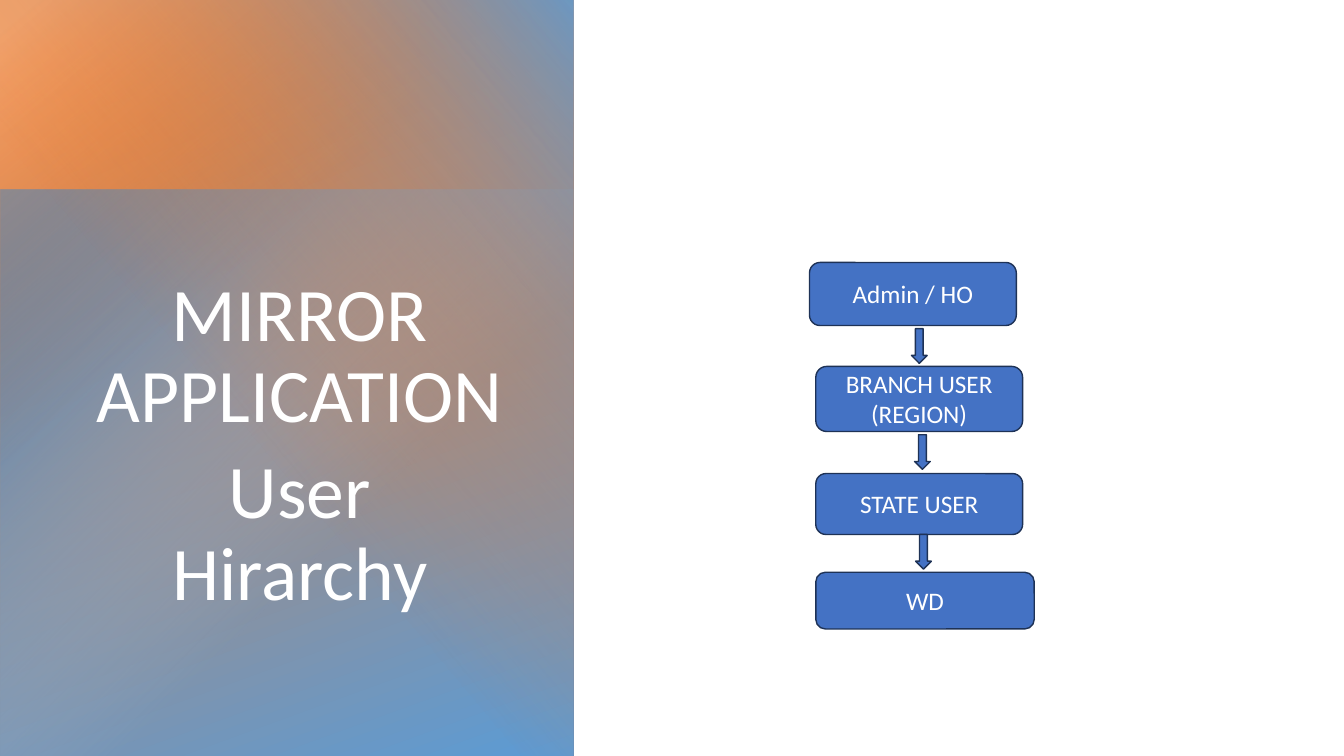
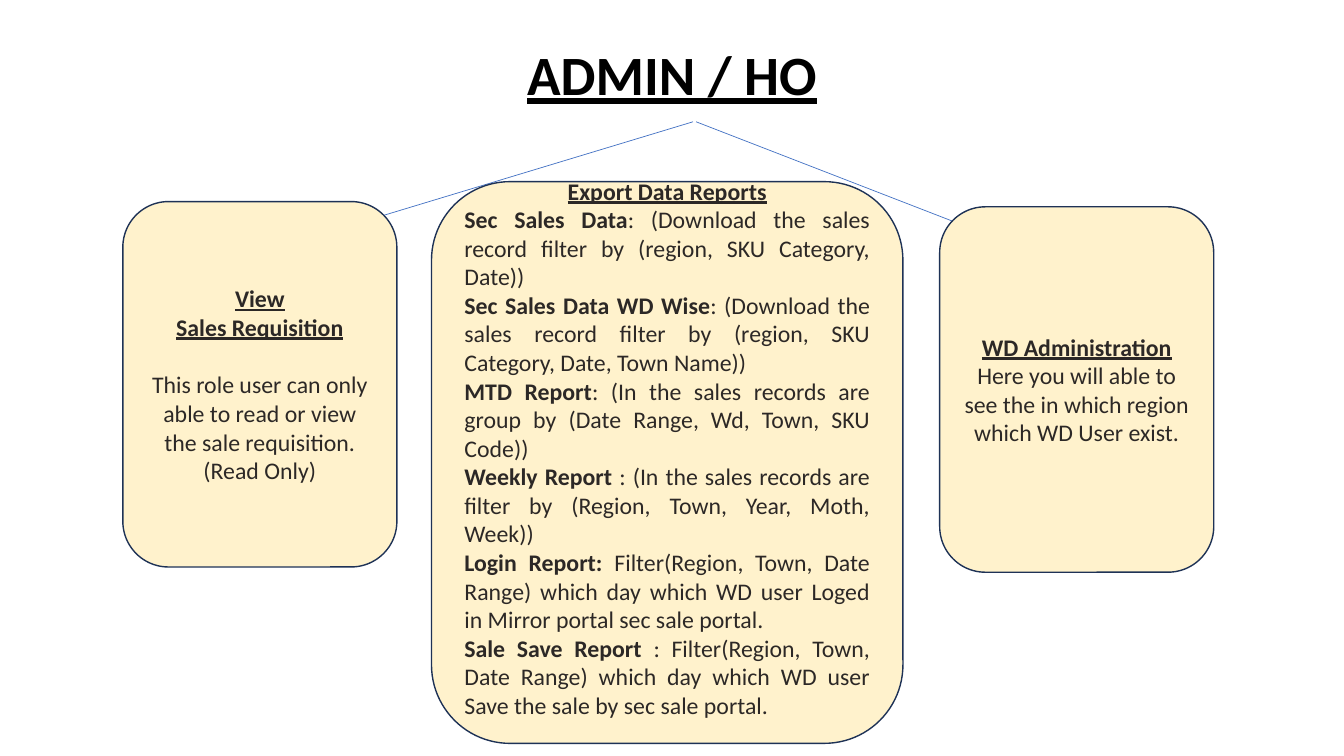
"""Build the two-slide user hierarchy deck for the Mirror application."""
import dataclasses

import lxml.etree
import pptx
import pptx.dml.color
import pptx.enum.shapes
import pptx.enum.text
import pptx.oxml
import pptx.oxml.ns
import pptx.util

PX = 9525
SHAPE = pptx.enum.shapes.MSO_SHAPE
ALIGN = pptx.enum.text.PP_ALIGN
ANCHOR = pptx.enum.text.MSO_ANCHOR
QN = pptx.oxml.ns.qn


@dataclasses.dataclass(frozen=True)
class Theme:
    font: str = "Calibri"
    white: str = "FFFFFF"
    black: str = "000000"
    ink: str = "2C2826"
    blue: str = "4472C4"
    navy: str = "1E3256"
    cream: str = "FFF2CC"
    orange: str = "ED7D31"
    peach: str = "F4B183"
    sky: str = "5B9BD5"
    deep_sky: str = "2E75B6"
    pale_sky: str = "9DC3E6"
    cover_size: float = 54
    title_size: float = 39.6
    node_size: float = 18
    card_size: float = 17
    outline: float = 1
    branch: float = 0.5


THEME = Theme()
HEADING = {"bold": True, "underline": True}
LABEL = {"bold": True}
PLAIN = {"bold": False}


def apply(target, values):
    for name, value in values.items():
        setattr(target, name, value)


def rgb(color):
    return pptx.dml.color.RGBColor.from_string(color)


def centred(text, style=PLAIN, **spacing):
    return ALIGN.CENTER, [(text, style)], spacing


def justified(label, text):
    return ALIGN.JUSTIFY, [(label, LABEL), (text, PLAIN)], {}


class Painter:
    def __init__(self, theme):
        self.theme = theme
        self.deck = pptx.Presentation()
        self.deck.slide_width = 1280 * PX
        self.deck.slide_height = 720 * PX
        self.page = None

    def new_page(self):
        self.page = self.deck.slides.add_slide(self.deck.slide_layouts[5])

    def set_text(self, frame, paragraphs, size, color):
        for index, (align, runs, spacing) in enumerate(paragraphs):
            para = frame.add_paragraph() if index else frame.paragraphs[0]
            apply(para, {"alignment": align, **spacing})
            for text, style in runs:
                span = para.add_run()
                span.text = text
                apply(span.font, {"name": self.theme.font,
                                  "size": pptx.util.Pt(size), **style})
                span.font.color.rgb = rgb(color)

    def title(self, area, paragraphs, size, color, anchor):
        box = self.page.shapes.title
        apply(box, dict(zip(("left", "top", "width", "height"),
                            (length * PX for length in area))))
        apply(box.text_frame, {"word_wrap": True, "vertical_anchor": anchor,
                               "auto_size": pptx.enum.text.MSO_AUTO_SIZE.NONE})
        self.set_text(box.text_frame, paragraphs, size, color)
        self.page.shapes._spTree.append(box._element)

    def shape(self, kind, area):
        box = self.page.shapes.add_shape(kind, *(length * PX for length in area))
        box.shadow.inherit = False
        return box

    def solid(self, kind, area, color):
        box = self.shape(kind, area)
        box.fill.solid()
        box.fill.fore_color.rgb = rgb(color)
        box.line.color.rgb = rgb(self.theme.navy)
        box.line.width = pptx.util.Pt(self.theme.outline)
        return box

    def card(self, area, color, paragraphs, size, ink, bottom=5):
        box = self.solid(SHAPE.ROUNDED_RECTANGLE, area, color)
        apply(box.text_frame, {"word_wrap": True, "margin_bottom": bottom * PX,
                               "vertical_anchor": ANCHOR.MIDDLE})
        self.set_text(box.text_frame, paragraphs, size, ink)

    def gradient(self, area, stops, angle=None, rotation=0):
        box = self.shape(SHAPE.RECTANGLE, area)
        box.rotation = rotation
        box.line.fill.background()
        marks = "".join(
            f'<a:gs pos="{place * 1000}"><a:srgbClr val="{color}">'
            f'<a:alpha val="{alpha * 1000}"/></a:srgbClr></a:gs>'
            for place, color, alpha in stops)
        if angle is None:
            course = ('<a:path path="circle">'
                      '<a:fillToRect r="100000" b="100000"/></a:path>')
        else:
            course = f'<a:lin ang="{angle * 60000}" scaled="0"/>'
        fill = pptx.oxml.parse_xml(
            f'<a:gradFill {pptx.oxml.ns.nsdecls("a")} rotWithShape="1">'
            f'<a:gsLst>{marks}</a:gsLst>{course}</a:gradFill>')
        box._element.spPr.find(QN("a:prstGeom")).addnext(fill)

    def arrow(self, start, end):
        line = self.page.shapes.add_connector(
            pptx.enum.shapes.MSO_CONNECTOR.STRAIGHT,
            *(length * PX for length in start + end))
        line.line.color.rgb = rgb(self.theme.blue)
        line.line.width = pptx.util.Pt(self.theme.branch)
        outline = line.line._get_or_add_ln()
        lxml.etree.SubElement(outline, QN("a:tailEnd"), type="triangle")
        lxml.etree.SubElement(line._element.spPr, QN("a:effectLst"))


def hierarchy_page(painter):
    theme = painter.theme
    painter.new_page()
    painter.gradient((0, 0, 546, 720),
                     [(7, theme.orange, 100), (100, theme.sky, 100)], angle=70)
    painter.gradient((0, 181, 546, 540),
                     [(0, theme.deep_sky, 100), (60, theme.pale_sky, 0)], rotation=180)
    painter.gradient((0, 0, 400, 720),
                     [(3, theme.peach, 78), (42, theme.orange, 0)], angle=50)
    painter.gradient((-87, 87, 720, 546),
                     [(0, theme.sky, 86), (57, theme.orange, 0)], angle=230, rotation=270)
    spacing = {"line_spacing": 0.9, "space_before": pptx.util.Pt(10)}
    painter.title((80, 258, 411, 370),
                  [centred(text, **spacing)
                   for text in ("MIRROR APPLICATION", "User Hirarchy")],
                  theme.cover_size, theme.white, ANCHOR.TOP)
    nodes = [
        ((771, 250, 197, 60), ["Admin / HO"]),
        ((777, 349, 197, 62), ["BRANCH USER", "(REGION)"]),
        ((777, 451, 197, 58), ["STATE USER"]),
        ((777, 545, 208, 54), ["WD"]),
    ]
    for area, lines in nodes:
        painter.card(area, theme.blue, [centred(text) for text in lines],
                     theme.node_size, theme.white)
    for left, top in ((868, 313), (871, 414), (872, 509)):
        painter.solid(SHAPE.DOWN_ARROW, (left, top, 15, 33), theme.blue)


def admin_page(painter):
    theme = painter.theme
    painter.new_page()
    painter.title((88, 38, 1104, 72),
                  [centred("ADMIN / HO", HEADING, line_spacing=0.9)],
                  theme.title_size, theme.black, ANCHOR.MIDDLE)
    painter.arrow((663, 116), (1081, 278))
    painter.arrow((660, 116), (250, 240))
    requisition = [
        centred("View", HEADING),
        centred("Sales Requisition", HEADING),
        centred("This role user can only able to read or view the sale requisition.",
                space_before=pptx.util.Pt(20.75)),
        centred("(Read Only)"),
    ]
    reports = [
        centred("Export Data Reports", HEADING),
        justified("Sec Sales Data",
                  ": (Download the sales record filter by (region, SKU Category, Date))"),
        justified("Sec Sales Data WD Wise",
                  ": (Download the sales record filter by "
                  "(region, SKU Category, Date, Town Name))"),
        justified("MTD Report",
                  ": (In the sales records are group by (Date Range, Wd, Town, SKU Code))"),
        justified("Weekly Report ",
                  ": (In the sales records are filter by (Region, Town, Year, Moth, Week))"),
        justified("Login Report: ",
                  "Filter(Region, Town, Date Range) which day which WD user Loged "
                  "in Mirror portal sec sale portal."),
        justified("Sale Save Report",
                  " : Filter(Region, Town, Date Range) which day which WD user Save "
                  "the sale by sec sale portal."),
    ]
    administration = [
        centred("WD Administration", HEADING),
        centred("Here you will able to see the in which region which WD User exist."),
    ]
    cards = [
        ((117, 192, 261, 348), requisition, 5),
        ((411, 173, 449, 535), reports, 33),
        ((895, 197, 261, 348), administration, 5),
    ]
    for area, paragraphs, bottom in cards:
        painter.card(area, theme.cream, paragraphs, theme.card_size, theme.ink, bottom)


def main():
    painter = Painter(THEME)
    hierarchy_page(painter)
    admin_page(painter)
    painter.deck.save("out.pptx")


if __name__ == "__main__":
    main()
